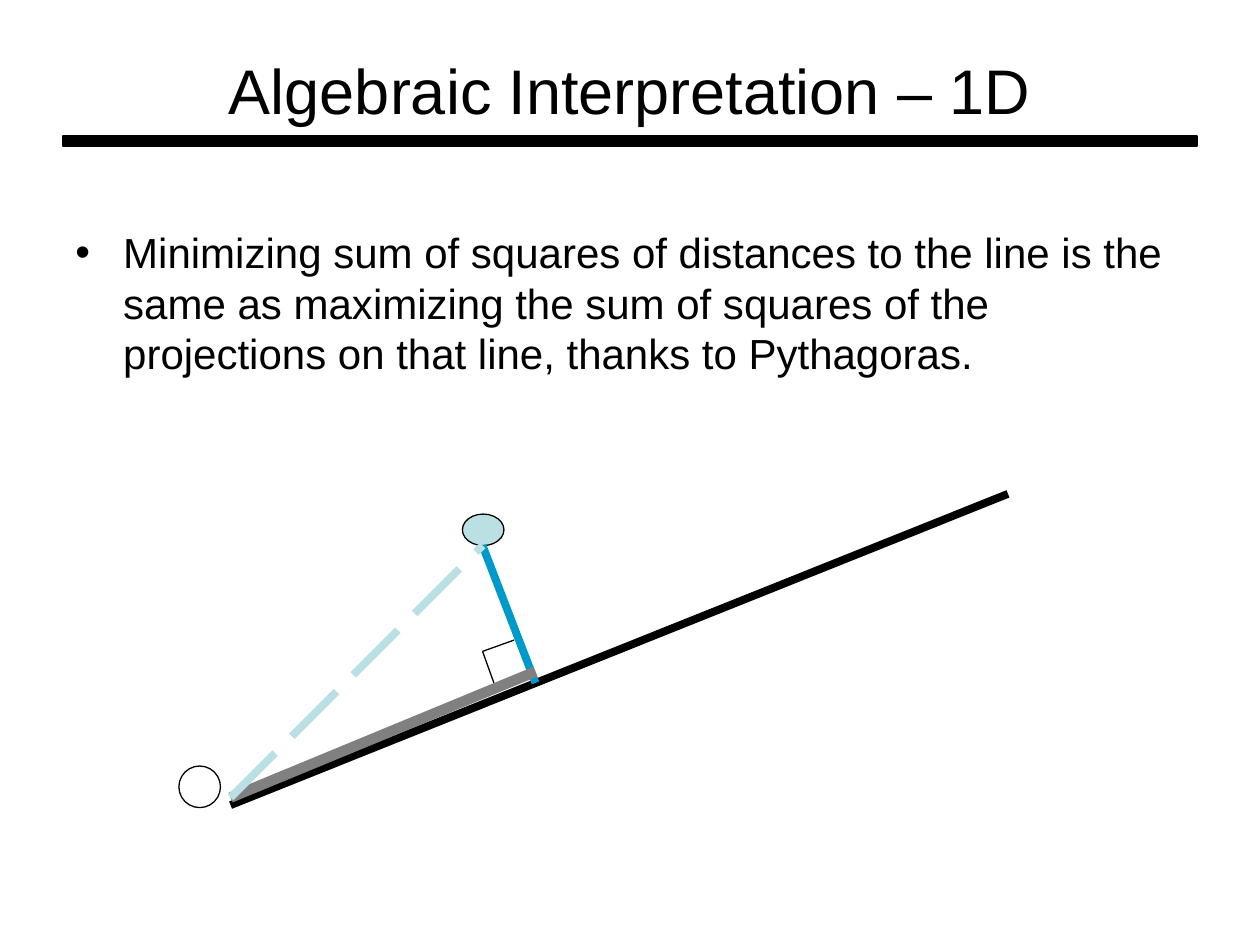
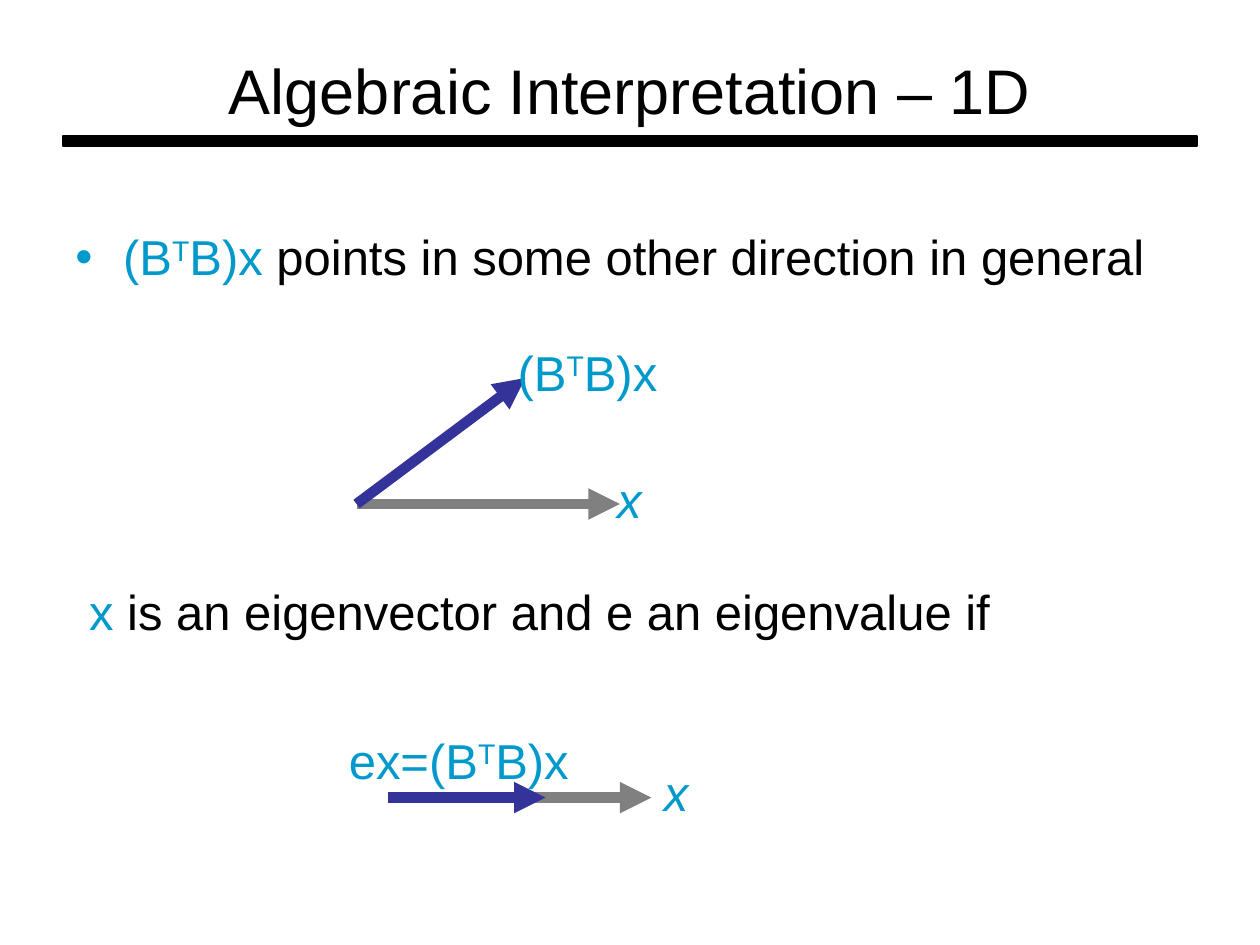
from lxml import etree
from pptx import Presentation
from pptx.dml.color import RGBColor
from pptx.enum.dml import MSO_LINE_DASH_STYLE as DASH
from pptx.enum.shapes import MSO_CONNECTOR as CONN, MSO_SHAPE as SHAPE
from pptx.enum.text import MSO_ANCHOR as ANCHOR, PP_ALIGN as ALIGN
from pptx.oxml.ns import qn
from pptx.util import Inches, Pt

FONT = "Arial"
BLACK, CYAN, PALE, GRAY, NAVY = "000000", "0099CC", "BBE0E3", "808080", "333399"
TITLE = "Algebraic Interpretation – 1D"
BODY = (0.5, 1.75, 9, 1.65)
INDENT = 0.38

# Runs are (text, format); "sup" marks a superscript.
BLUE = {"color": CYAN}
BTBX = [("(B", BLUE), ("T", {"color": CYAN, "sup": True}), ("B)x", BLUE)]
VECTOR_X = [("x", {"color": CYAN, "italic": True})]

PYTHAGORAS = [("Minimizing sum of squares of distances to the line is the same as "
               "maximizing the sum of squares of the projections on that line, "
               "thanks to Pythagoras.", {})]
DIRECTION = BTBX + [(" points in some other direction in general", {})]
EIGEN = [("x", BLUE), (" is an eigenvector and e an eigenvalue if", {})]

# Points of the projection diagram
ORIGIN, POINT, FOOT = (1.83, 6.33), (3.83, 4.33), (4.25, 5.33)
CORNER = (3.83, 5.17)
DIAGRAM_DOTS = [  # box, fill
    ((3.67, 4.08, 0.33, 0.25), PALE),
    ((1.42, 6.08, 0.33, 0.33), None),
]
DIAGRAM_LINES = [  # start, end, colour, width, dash
    ((1.83, 6.39), (8, 3.92), BLACK, 4.5, None),
    (POINT, (4.25, 5.42), CYAN, 4.5, None),
    (ORIGIN, FOOT, GRAY, 6, None),
    (ORIGIN, POINT, PALE, 4.5, DASH.LONG_DASH),
    ((4.08, 5.08), CORNER, BLACK, 0.75, None),
    (CORNER, (3.92, 5.42), BLACK, 0.75, None),
]

VECTORS = [  # start, end, colour
    ((2.83, 4), (4.92, 4), GRAY),
    ((2.83, 4), (4.17, 3), NAVY),
    ((3.08, 6.33), (5.17, 6.33), GRAY),
    ((3.08, 6.33), (4.33, 6.33), NAVY),
]
LABELS = [  # box, runs
    ((4.8, 3.68, 0.39, 0.57), VECTOR_X),
    ((4.01, 2.67, 1.31, 0.57), BTBX),
    ((5.17, 6, 0.4, 0.57), VECTOR_X),
    ((2.67, 5.75, 2.08, 0.57), [("ex=", BLUE)] + BTBX),
    ((0.61, 4.57, 8.5, 0.57), EIGEN),
]


def rgb(color):
    return RGBColor.from_string(color)


def inches(values):
    return [Inches(v) for v in values]


def add_text(s, box, runs, size, wrap=False, bullet=None, align=ALIGN.LEFT,
             anchor=ANCHOR.TOP):
    """Add one paragraph of runs; bullet is the bullet's colour."""
    tf = s.shapes.add_textbox(*inches(box)).text_frame
    tf.word_wrap, tf.vertical_anchor = wrap, anchor
    p = tf.paragraphs[0]
    p.alignment = align
    if bullet:
        pPr = p._p.get_or_add_pPr()
        pPr.set("marL", str(Inches(INDENT)))
        pPr.set("indent", str(-Inches(INDENT)))
        color = etree.SubElement(pPr, qn("a:buClr"))
        etree.SubElement(color, qn("a:srgbClr"), val=bullet)
        etree.SubElement(pPr, qn("a:buFont"), typeface=FONT)
        etree.SubElement(pPr, qn("a:buChar"), char="•")
    for text, fmt in runs:
        r = p.add_run()
        r.text = text
        values = {"name": FONT, "size": Pt(size), "italic": fmt.get("italic", False)}
        for name, value in values.items():
            setattr(r.font, name, value)
        r.font.color.rgb = rgb(fmt.get("color", BLACK))
        if fmt.get("sup"):
            r._r.get_or_add_rPr().set("baseline", "30000")


def add_shape(s, kind, box, fill):
    sp = s.shapes.add_shape(kind, *inches(box))
    sp.shadow.inherit = False
    if fill:
        sp.fill.solid()
        sp.fill.fore_color.rgb = rgb(fill)
    else:
        sp.fill.background()
    sp.line.color.rgb = rgb(BLACK)
    sp.line.width = Pt(0.75)


def add_line(s, start, end, color, width, dash=None, arrow=False):
    line = s.shapes.add_connector(CONN.STRAIGHT, *inches(start + end))
    line.line.color.rgb = rgb(color)
    line.line.width = Pt(width)
    if dash:
        line.line.dash_style = dash
    if arrow:
        etree.SubElement(line.line._get_or_add_ln(), qn("a:tailEnd"), type="triangle")
    etree.SubElement(line._element.spPr, qn("a:effectLst"))


def add_slide(prs):
    """Add a blank slide with the shared title and rule."""
    s = prs.slides.add_slide(prs.slide_layouts[6])
    add_shape(s, SHAPE.RECTANGLE, (0.5, 1.08, 9, 0.08), BLACK)
    add_text(s, (0.5, 0.08, 9, 1.25), [(TITLE, {})], 36, wrap=True,
             align=ALIGN.CENTER, anchor=ANCHOR.MIDDLE)
    return s


def build_projection(prs):
    s = add_slide(prs)
    add_text(s, BODY, PYTHAGORAS, 24, wrap=True, bullet=BLACK)
    for box, fill in DIAGRAM_DOTS:
        add_shape(s, SHAPE.OVAL, box, fill)
    for line in DIAGRAM_LINES:
        add_line(s, *line)


def build_eigenvector(prs):
    s = add_slide(prs)
    add_text(s, BODY, DIRECTION, 28, wrap=True, bullet=CYAN)
    for start, end, color in VECTORS:
        add_line(s, start, end, color, 6, arrow=True)
    for box, runs in LABELS:
        add_text(s, box, runs, 28)


def main():
    prs = Presentation()
    prs.slide_width, prs.slide_height = inches((10, 7.5))
    build_projection(prs)
    build_eigenvector(prs)
    prs.save("out.pptx")


if __name__ == "__main__":
    main()
